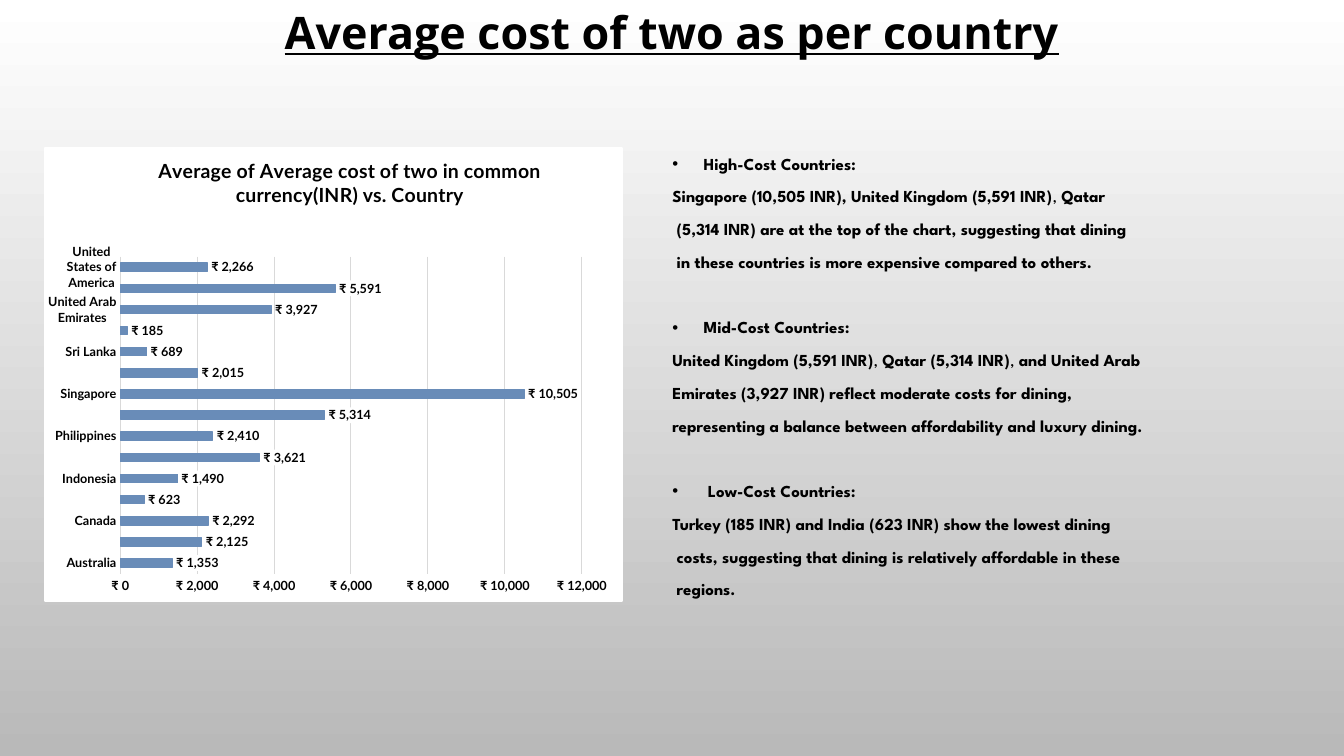
from lxml import etree
from pptx import Presentation
from pptx.chart.data import CategoryChartData
from pptx.dml.color import RGBColor
from pptx.enum.chart import XL_CHART_TYPE, XL_LABEL_POSITION, XL_TICK_MARK
from pptx.enum.text import PP_ALIGN
from pptx.oxml import parse_xml
from pptx.oxml.ns import nsdecls, qn
from pptx.util import Inches, Pt

BAR = XL_CHART_TYPE.BAR_CLUSTERED
OUTSIDE = XL_LABEL_POSITION.OUTSIDE_END
NO_TICK = XL_TICK_MARK.NONE
CENTER = PP_ALIGN.CENTER
RUPEES = '"₹"\\ #,##0'
BLACK, WHITE, GRID, BLUE = "000000", "FFFFFF", "D9D9D9", "698CB8"


def rgb(value):
    return RGBColor.from_string(value)


def add_text(p, text, font="League Spartan", size=12, bold=True, underline=None):
    r = p.add_run()
    r.text = text
    f = r.font
    f.name, f.size, f.bold, f.underline = font, Pt(size), bold, underline
    f.color.rgb = rgb(BLACK)


prs = Presentation()
prs.slide_width, prs.slide_height = Inches(13.33), Inches(7.5)
W, H = prs.slide_width, prs.slide_height
LEFT, MIDDLE, TOP = Inches(0.44), Inches(6.57), Inches(1.46)
s = prs.slides.add_slide(prs.slide_layouts[6])

# Background
fill = s.background.fill
fill.gradient()
fill.gradient_angle = 270
for stop, color in zip(fill.gradient_stops, (WHITE, "B9B9B9")):
    stop.color.rgb = rgb(color)

# Heading
tf = s.shapes.add_textbox(0, 0, W, Inches(0.64)).text_frame
tf.word_wrap = True
p = tf.paragraphs[0]
p.alignment = CENTER
add_text(p, "Average cost of two as per country", "Open Sans", 32, underline=True)

# Cost groups: heading, then lines; odd pieces of a line are not bold
groups = [
    (["", "High-Cost Countries:"], [
        ["Singapore (10,505 INR), United Kingdom (5,591 INR)", ", ", "Qatar"],
        [" (5,314 INR) are at the top of the chart, suggesting that dining"],
        [" in these countries is more expensive compared to others."]]),
    (["", "Mid-Cost Countries:"], [
        ["United Kingdom (5,591 INR)", ", ", "Qatar (5,314 INR)", ", ", "and United Arab"],
        ["Emirates (3,927 INR) reflect moderate costs for dining,"],
        ["representing a balance between affordability and luxury dining."]]),
    ([" ", "Low-Cost Countries:"], [
        ["Turkey (185 INR) and India (623 INR) show the lowest dining"],
        [" costs, suggesting that dining is relatively affordable in these"],
        [" regions."]]),
]
tf = s.shapes.add_textbox(MIDDLE, TOP, W - MIDDLE - Inches(0.1), Inches(4.57)).text_frame
tf.word_wrap = True
for i, ((lead, heading), lines) in enumerate(groups):
    for j, pieces in enumerate([[lead + heading]] + lines):
        p = tf.paragraphs[0] if i == j == 0 else tf.add_paragraph()
        p.line_spacing, p.space_after = 1.07, Pt(8)
        if j == 0:
            if i:
                p.space_before = Pt(23.4)
            pPr = p._p.get_or_add_pPr()
            pPr.set("marL", str(Inches(0.31)))
            pPr.set("indent", str(-Inches(0.31)))
            etree.SubElement(pPr, qn("a:buFont")).set("typeface", "Arial")
            etree.SubElement(pPr, qn("a:buChar")).set("char", "•")
        for k, piece in enumerate(pieces):
            add_text(p, piece, bold=k % 2 == 0)

# Chart data
costs = {
    "Australia": 1353, "Brazil": 2125, "Canada": 2292, "India": 623,
    "Indonesia": 1490, "New Zealand": 3621, "Philippines": 2410,
    "Qatar": 5314, "Singapore": 10505, "South Africa": 2015,
    "Sri Lanka": 689, "Turkey": 185, "United Arab Emirates": 3927,
    "United Kingdom": 5591, "United States of America": 2266,
}
data = CategoryChartData()
data.categories = list(costs)
data.add_series("Series 1", list(costs.values()))
chart = s.shapes.add_chart(BAR, LEFT, TOP, Inches(5.74), Inches(4.51), data).chart
chart.has_legend = False
chart.font.name, chart.font.size = "Lato", Pt(10)
chart.font.color.rgb = rgb(BLACK)
add_text(chart.chart_title.text_frame.paragraphs[0],
         "Average of Average cost of two in common currency(INR) vs. Country", "Lato", 14)

# Bars and their labels
plot = chart.plots[0]
plot.gap_width, plot.vary_by_categories = 150, False
bars = plot.series[0].format
bars.fill.solid()
bars.fill.fore_color.rgb = rgb(BLUE)
bars.line.color.rgb = rgb(BLUE)
bars.line.width = Pt(0.75)
plot.has_data_labels = True
labels = plot.data_labels
labels.show_value, labels.position = True, OUTSIDE
labels.number_format, labels.number_format_is_linked = RUPEES, False

# Axes
cat, val = chart.category_axis, chart.value_axis
for axis in (cat, val):
    axis.major_tick_mark = axis.minor_tick_mark = NO_TICK
for part in (cat.tick_labels, val.tick_labels, labels):
    f = part.font
    f.name, f.size, f.bold = "Lato", Pt(9), True
    f.color.rgb = rgb(BLACK)
cat.has_major_gridlines = False
cat.format.line.color.rgb = rgb(GRID)
cat.format.line.width = Pt(1)
val.minimum_scale, val.maximum_scale, val.major_unit = 0, 12000, 2000
val.tick_labels.number_format = RUPEES
val.tick_labels.number_format_is_linked = False
val.format.line.fill.background()
val.major_gridlines.format.line.color.rgb = rgb(GRID)
val.major_gridlines.format.line.width = Pt(0.75)

# White chart area and white label backgrounds
solid = f'<a:solidFill><a:srgbClr val="{WHITE}"/></a:solidFill>'
border = f'<a:ln w="{Pt(1.25)}">{solid}</a:ln>'
space = chart._chartSpace
for before, line in ((space.find(qn("c:chart")), border),
                     (labels._element.find(qn("c:numFmt")), "")):
    before.addnext(parse_xml(f'<c:spPr {nsdecls("c", "a")}>{solid}{line}</c:spPr>'))

# Title and plot placement as shares of the chart
for parent, index, place in (
        (chart.chart_title._element, 1, {"x": 0.19, "y": 0.01}),
        (space.find(".//" + qn("c:plotArea")), 0,
         {"layoutTarget": "inner", "xMode": "edge", "yMode": "edge",
          "x": 0.13, "y": 0.24, "w": 0.8, "h": 0.7})):
    for old in parent.findall(qn("c:layout")):
        parent.remove(old)
    layout = etree.Element(qn("c:layout"))
    manual = etree.SubElement(layout, qn("c:manualLayout"))
    for tag, value in ({"xMode": "edge", "yMode": "edge"} | place
                       if index else place).items():
        etree.SubElement(manual, qn("c:" + tag)).set("val", str(value))
    parent.insert(index, layout)

prs.save("out.pptx")
